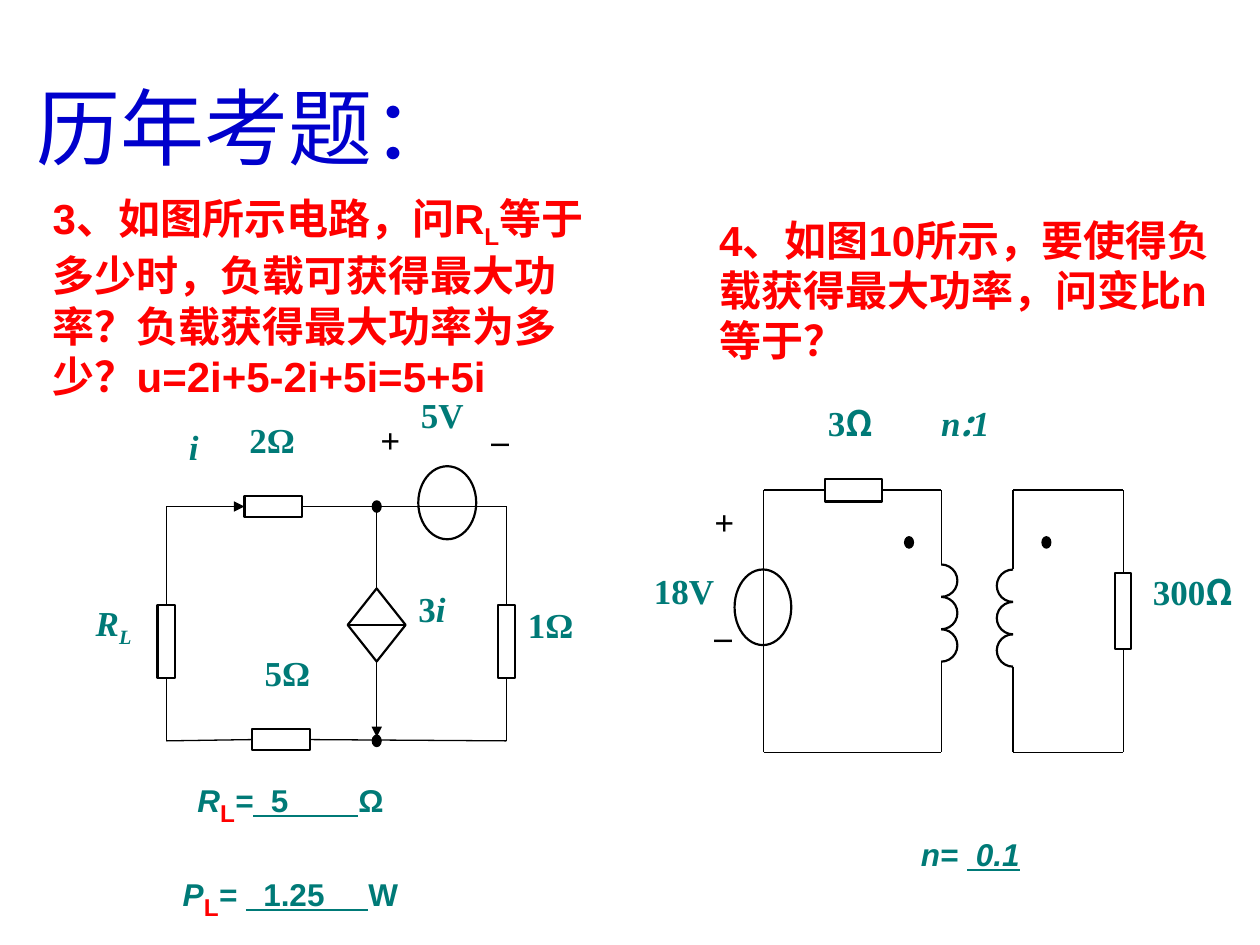
from dataclasses import dataclass

from lxml.etree import SubElement
from pptx import Presentation
from pptx.dml.color import RGBColor
from pptx.enum.shapes import MSO_CONNECTOR, MSO_SHAPE
from pptx.enum.text import MSO_ANCHOR, PP_ALIGN
from pptx.oxml.ns import qn
from pptx.util import Inches, Pt


@dataclass(frozen=True)
class Theme:
    """Colours, fonts, type sizes and line widths of the slide."""
    title: str = "0000CC"
    question: str = "FF0000"
    label: str = "007A77"
    ink: str = "000000"
    sans: str = "Arial"
    serif: str = "Times New Roman"
    cjk: str = "Noto Sans CJK SC"
    title_size: int = 48
    question_size: int = 24
    label_size: int = 20
    answer_size: int = 18
    thin: float = 0.75
    thick: float = 1.25


T = Theme()
WIDTH, HEIGHT = Inches(10), Inches(7.5)
COLS, ROWS = 100, 75
SUB = dict(base=-25000)
ITALIC = dict(italic=True)
BLANK = dict(underline=True)
ANSWER_SUB = dict(SUB, size=T.question_size, color=T.question)


def col(n):
    """Turn grid columns into a length."""
    return round(WIDTH * n / COLS)


def row(n):
    """Turn grid rows into a length."""
    return round(HEIGHT * n / ROWS)


def place(x, y, w, h):
    """Turn a grid box into left, top, width and height."""
    return col(x), row(y), col(w), row(h)


def add_run(p, text, size, color, font, bold=True, italic=False, underline=False, base=0):
    """Add one formatted run to a paragraph."""
    r = p.add_run()
    r.text = text
    f = r.font
    f.size, f.name, f.bold, f.italic, f.underline = Pt(size), font, bold, italic, underline
    f.color.rgb = RGBColor.from_string(color)
    props = r._r.get_or_add_rPr()
    SubElement(props, qn("a:ea")).set("typeface", T.cjk)
    if base:
        props.set("baseline", str(base))


def add_text(slide, box, *paragraphs, inset=(0.1, 0.05), anchor=MSO_ANCHOR.TOP,
             align=PP_ALIGN.LEFT, wrap=True, gap=0, **fmt):
    """Add a text box whose paragraphs are lists of (text, format changes)."""
    tf = slide.shapes.add_textbox(*place(*box)).text_frame
    tf.word_wrap, tf.vertical_anchor = wrap, anchor
    tf.margin_left = tf.margin_right = Inches(inset[0])
    tf.margin_top = tf.margin_bottom = Inches(inset[1])
    for i, runs in enumerate(paragraphs):
        p = tf.add_paragraph() if i else tf.paragraphs[0]
        p.alignment = align
        if i:
            p.space_before = Pt(gap)
        for text, changes in runs:
            add_run(p, text, **{**fmt, **changes})


def add_label(slide, x, y, *runs, w=5.6, color=T.label):
    """Add a circuit label."""
    add_text(slide, (x, y, w, 5.2), runs, inset=(0, 0), size=T.label_size,
             color=color, font=T.serif)


def add_part(slide, kind, box, filled=False):
    """Add an outlined or solid circuit part."""
    sp = slide.shapes.add_shape(kind, *place(*box))
    sp.shadow.inherit = False
    sp.line.color.rgb = RGBColor.from_string(T.ink)
    sp.line.width = Pt(T.thick)
    if filled:
        sp.fill.solid()
        sp.fill.fore_color.rgb = RGBColor.from_string(T.ink)
    else:
        sp.fill.background()
    return sp


def add_dot(slide, x, y):
    """Add a solid dot centred on a grid point."""
    dot = add_part(slide, MSO_SHAPE.OVAL, (x - 0.35, y - 0.45, 0.7, 0.9), filled=True)
    dot.line.width = Pt(T.thin)


def add_coil(slide, x, top, angles):
    """Add a winding of three half-circle turns between two angles."""
    turn = 2.57
    for i in range(3):
        sp = add_part(slide, MSO_SHAPE.ARC, (x - turn / 2, top + i * turn, turn, turn))
        for k, angle in enumerate(angles):
            sp.adjustments[k] = angle * 0.6


def add_wire(slide, start, end, width=T.thin, arrow=False):
    """Add a wire between grid points or (part, side) joints."""
    ends = [(0, 0) if hasattr(e[0], "shape_type") else e for e in (start, end)]
    (x1, y1), (x2, y2) = ends
    cx = slide.shapes.add_connector(MSO_CONNECTOR.STRAIGHT, col(x1), row(y1), col(x2), row(y2))
    for target, join in ((start, cx.begin_connect), (end, cx.end_connect)):
        if hasattr(target[0], "shape_type"):
            join(*target)
    cx.line.color.rgb = RGBColor.from_string(T.ink)
    cx.line.width = Pt(width)
    props = cx._element.spPr
    if arrow:
        SubElement(props.find(qn("a:ln")), qn("a:tailEnd")).set("type", "triangle")
    SubElement(props, qn("a:effectLst"))


def add_source_circuit(slide):
    """Draw the circuit with the controlled source."""
    left, middle, right, top, bottom = 13.2, 29.9, 40.2, 40.2, 58.8
    r2 = add_part(slide, MSO_SHAPE.RECTANGLE, (19.4, top - 0.85, 4.6, 1.7))
    r5 = add_part(slide, MSO_SHAPE.RECTANGLE, (20, bottom - 0.95, 4.6, 1.7))
    load = add_part(slide, MSO_SHAPE.RECTANGLE, (left - 0.7, 48, 1.4, 5.8))
    r1 = add_part(slide, MSO_SHAPE.RECTANGLE, (right - 0.7, 48, 1.4, 5.8))
    diamond = add_part(slide, MSO_SHAPE.DIAMOND, (middle - 2.3, 46.7, 4.6, 5.8))
    add_part(slide, MSO_SHAPE.OVAL, (33.2, 37, 4.6, 5.8))
    add_wire(slide, (left, top), (r2, 1), arrow=True)
    add_wire(slide, (r2, 3), (right, top))
    add_wire(slide, (left, bottom), (r5, 1))
    add_wire(slide, (r5, 3), (right, bottom))
    for x, part in ((left, load), (right, r1)):
        add_wire(slide, (x, top), (part, 0))
        add_wire(slide, (part, 2), (x, bottom))
    add_wire(slide, (middle, top), (diamond, 0))
    add_wire(slide, (diamond, 2), (middle, bottom - 0.3), arrow=True)
    add_wire(slide, (diamond, 1), (diamond, 3), width=T.thick)
    for y in (top, bottom):
        add_dot(slide, middle, y)
    for x, y, text in ((41.9, 47.9, "1Ω"), (33.4, 31.2, "5V"), (21, 51.7, "5Ω"), (19.8, 33.2, "2Ω")):
        add_label(slide, x, y, (text, {}))
    add_label(slide, 15, 33.8, ("i", ITALIC))
    add_label(slide, 33.2, 46.6, ("3", {}), ("i", ITALIC))
    add_label(slide, 7.6, 47.7, ("R", ITALIC), ("L", dict(SUB, italic=True)))
    for x, sign in ((30.2, "+"), (39, "–")):
        add_label(slide, x, 33.2, (sign, {}), color=T.ink)


def add_transformer_circuit(slide):
    """Draw the circuit with the transformer."""
    left, primary, secondary, right, top, bottom = 60.6, 74.7, 80.4, 89.15, 38.9, 59.7
    r3 = add_part(slide, MSO_SHAPE.RECTANGLE, (65.5, top - 0.9, 4.5, 1.8))
    load = add_part(slide, MSO_SHAPE.RECTANGLE, (right - 0.65, 45.5, 1.3, 6))
    add_part(slide, MSO_SHAPE.OVAL, (58.3, 45.2, 4.5, 6))
    add_coil(slide, primary, 44.8, (270, 90))
    add_coil(slide, secondary, 45.2, (90, 270))
    add_wire(slide, (left, top), (r3, 1))
    add_wire(slide, (r3, 3), (primary, top))
    add_wire(slide, (secondary, top), (right, top))
    add_wire(slide, (right, top), (load, 0))
    add_wire(slide, (load, 2), (right, bottom))
    add_wire(slide, (left, top), (left, bottom))
    for x, start, end in ((primary, 44.8, 52.5), (secondary, 45.2, 52.9)):
        add_wire(slide, (x, top), (x, start))
        add_wire(slide, (x, end), (x, bottom))
    for x1, x2 in ((left, primary), (secondary, right)):
        add_wire(slide, (x1, bottom), (x2, bottom))
    for x in (72.15, 83.05):
        add_dot(slide, x, 43.05)
    add_label(slide, 65.7, 31.9, ("3", {}), ("Ω", dict(font=T.cjk)))
    add_label(slide, 91.5, 45.3, ("300", {}), ("Ω", dict(font=T.cjk)), w=8.5)
    add_label(slide, 51.9, 45.2, ("18V", {}), w=6.9)
    add_label(slide, 74.7, 31.9, ("n", ITALIC), (":", dict(ITALIC, font=T.cjk)), ("1", ITALIC), w=6.9)
    for y, sign in ((39.7, "+"), (48.8, "–")):
        add_label(slide, 56.7, y, (sign, {}), color=T.ink)


def main():
    """Build the slide and save it."""
    prs = Presentation()
    prs.slide_width, prs.slide_height = WIDTH, HEIGHT
    slide = prs.slides.add_slide(prs.slide_layouts[6])
    question = dict(size=T.question_size, color=T.question, font=T.sans)
    answer = dict(size=T.answer_size, color=T.label, font=T.sans,
                  anchor=MSO_ANCHOR.MIDDLE, wrap=False)
    add_text(slide, (1.9, 5.5, 89.9, 9), [("历年考题：", {})],
             size=T.title_size, color=T.title, font=T.serif, bold=False)
    add_text(slide, (3.2, 14.8, 44.9, 21.6),
             [("3、如图所示电路，问R", {}), ("L", SUB),
              ("等于多少时，负载可获得最大功率？负载获得最大功率为多少？u=2i+5-2i+5i=5+5i", {})],
             **question)
    add_text(slide, (56.1, 16.5, 43.9, 13),
             [("4、如图10所示，要使得负载获得最大功率，问变比n等于？", {})],
             anchor=MSO_ANCHOR.MIDDLE, **question)
    add_source_circuit(slide)
    add_transformer_circuit(slide)
    add_text(slide, (72.1, 65.8, 13.3, 4),
             [("n= ", ITALIC), (" 0.1", dict(BLANK, italic=True))], **answer)
    add_text(slide, (13.5, 60.6, 19.1, 13.1),
             [("R", ITALIC), ("L", ANSWER_SUB), ("=", ITALIC), ("  5        ", BLANK), ("Ω", {})],
             [("P", ITALIC), ("L", ANSWER_SUB), ("= ", ITALIC), ("  1.25     ", BLANK), ("W", {})],
             align=PP_ALIGN.CENTER, gap=21, **answer)
    prs.save("out.pptx")


if __name__ == "__main__":
    main()
